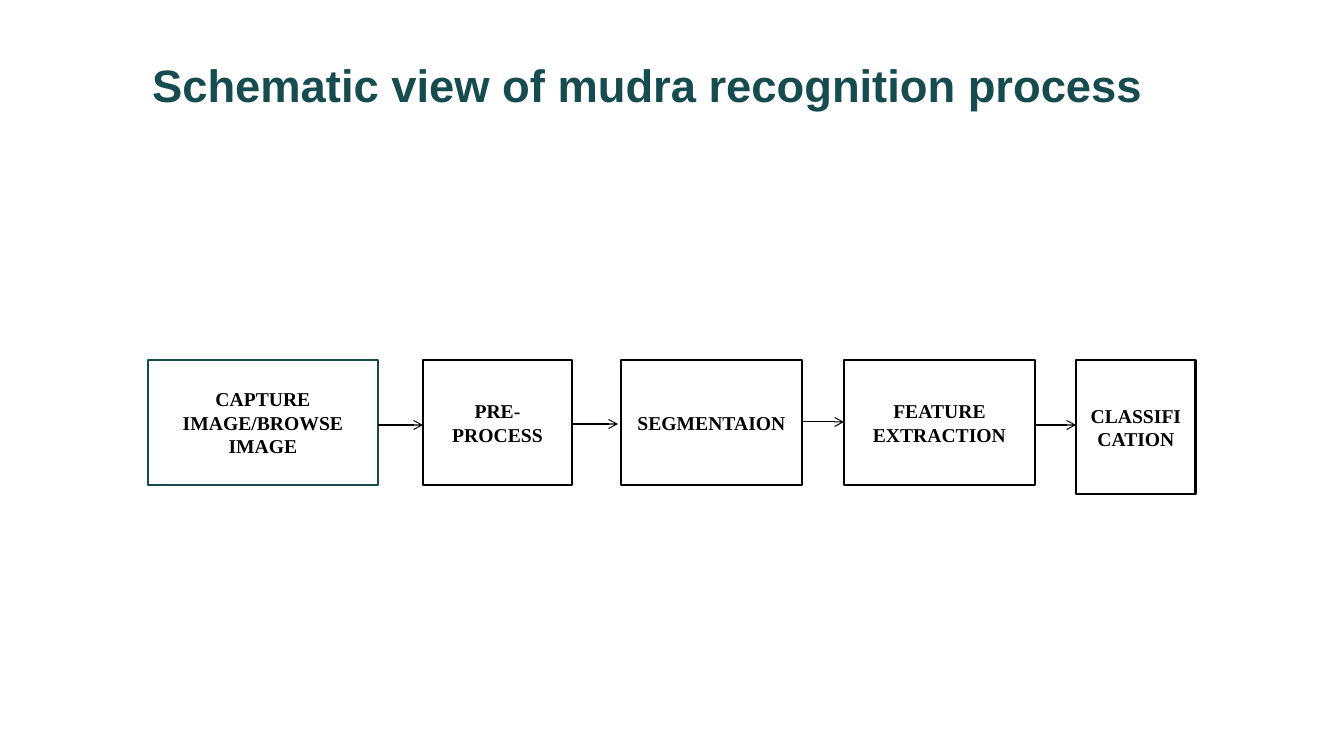
from dataclasses import dataclass
from itertools import pairwise

from lxml.etree import SubElement
from pptx import Presentation
from pptx.dml.color import RGBColor
from pptx.enum.shapes import MSO_CONNECTOR, MSO_SHAPE
from pptx.enum.text import MSO_ANCHOR, MSO_AUTO_SIZE, PP_ALIGN
from pptx.oxml.ns import qn
from pptx.slide import Slide
from pptx.text.text import Font
from pptx.util import Emu, Pt

EMU_PER_PX = 914400 / 100.8


@dataclass(frozen=True)
class Theme:
    teal: RGBColor = RGBColor(0x16, 0x4B, 0x4F)
    black: RGBColor = RGBColor(0, 0, 0)
    white: RGBColor = RGBColor(255, 255, 255)
    title_font: str = "Arial"
    step_font: str = "Times New Roman"
    title_size: float = 32.4
    step_size: float = 14
    box_line: float = 2
    arrow_line: float = 0.75


THEME = Theme()


@dataclass(frozen=True)
class Step:
    """A process box; arrow_y and arrow_gap describe the arrow leaving it."""
    text: str
    left: int
    width: int
    height: int = 125
    top: int = 360
    border: RGBColor = THEME.black
    arrow_y: int = 425
    arrow_gap: int = 0

    @property
    def right(self) -> int:
        return self.left + self.width


STEPS = [
    Step("CAPTURE IMAGE/BROWSE IMAGE", 148, 230, border=THEME.teal),
    Step("PRE-PROCESS", 423, 149, arrow_y=424, arrow_gap=3),
    Step("SEGMENTAION", 621, 181, arrow_y=422),
    Step("FEATURE EXTRACTION", 844, 191),
    Step("CLASSIFICATION", 1076, 120, height=134),
]


def px(n: int) -> Emu:
    return Emu(round(n * EMU_PER_PX))


def style_font(font: Font, name: str, size: float, color: RGBColor) -> None:
    for key, value in {"name": name, "size": Pt(size), "bold": True}.items():
        setattr(font, key, value)
    font.color.rgb = color


def add_title(s: Slide, text: str) -> None:
    title = s.shapes.title
    place = {"left": px(142), "top": px(42), "width": px(1058), "height": px(126)}
    for key, value in place.items():
        setattr(title, key, value)
    tf = title.text_frame
    frame = {"word_wrap": True, "auto_size": MSO_AUTO_SIZE.NONE,
             "vertical_anchor": MSO_ANCHOR.TOP, "margin_top": px(21)}
    for key, value in frame.items():
        setattr(tf, key, value)
    p = tf.paragraphs[0]
    p.alignment = PP_ALIGN.LEFT
    p.line_spacing = 0.9
    r = p.add_run()
    r.text = text
    style_font(r.font, THEME.title_font, THEME.title_size, THEME.teal)


def add_step(s: Slide, step: Step) -> None:
    sp = s.shapes.add_shape(MSO_SHAPE.RECTANGLE, px(step.left), px(step.top),
                            px(step.width), px(step.height))
    sp.shadow.inherit = False
    sp.fill.solid()
    sp.fill.fore_color.rgb = THEME.white
    sp.line.color.rgb = step.border
    sp.line.width = Pt(THEME.box_line)
    tf = sp.text_frame
    tf.word_wrap = True
    tf.vertical_anchor = MSO_ANCHOR.MIDDLE
    p = tf.paragraphs[0]
    p.alignment = PP_ALIGN.CENTER
    r = p.add_run()
    r.text = step.text
    style_font(r.font, THEME.step_font, THEME.step_size, THEME.black)


def add_arrow(s: Slide, start: Step, end: Step) -> None:
    y = px(start.arrow_y)
    arrow = s.shapes.add_connector(MSO_CONNECTOR.STRAIGHT, px(start.right), y,
                                   px(end.left - start.arrow_gap), y)
    arrow.line.color.rgb = THEME.black
    arrow.line.width = Pt(THEME.arrow_line)
    SubElement(arrow.line._get_or_add_ln(), qn("a:tailEnd"), type="arrow")
    SubElement(arrow._element.spPr, qn("a:effectLst"))


def main() -> None:
    prs = Presentation()
    prs.slide_width, prs.slide_height = px(1344), px(756)
    s = prs.slides.add_slide(prs.slide_layouts[5])
    add_title(s, "Schematic view of mudra recognition process")
    for step in STEPS:
        add_step(s, step)
    for start, end in pairwise(STEPS):
        add_arrow(s, start, end)
    prs.save("out.pptx")


if __name__ == "__main__":
    main()
